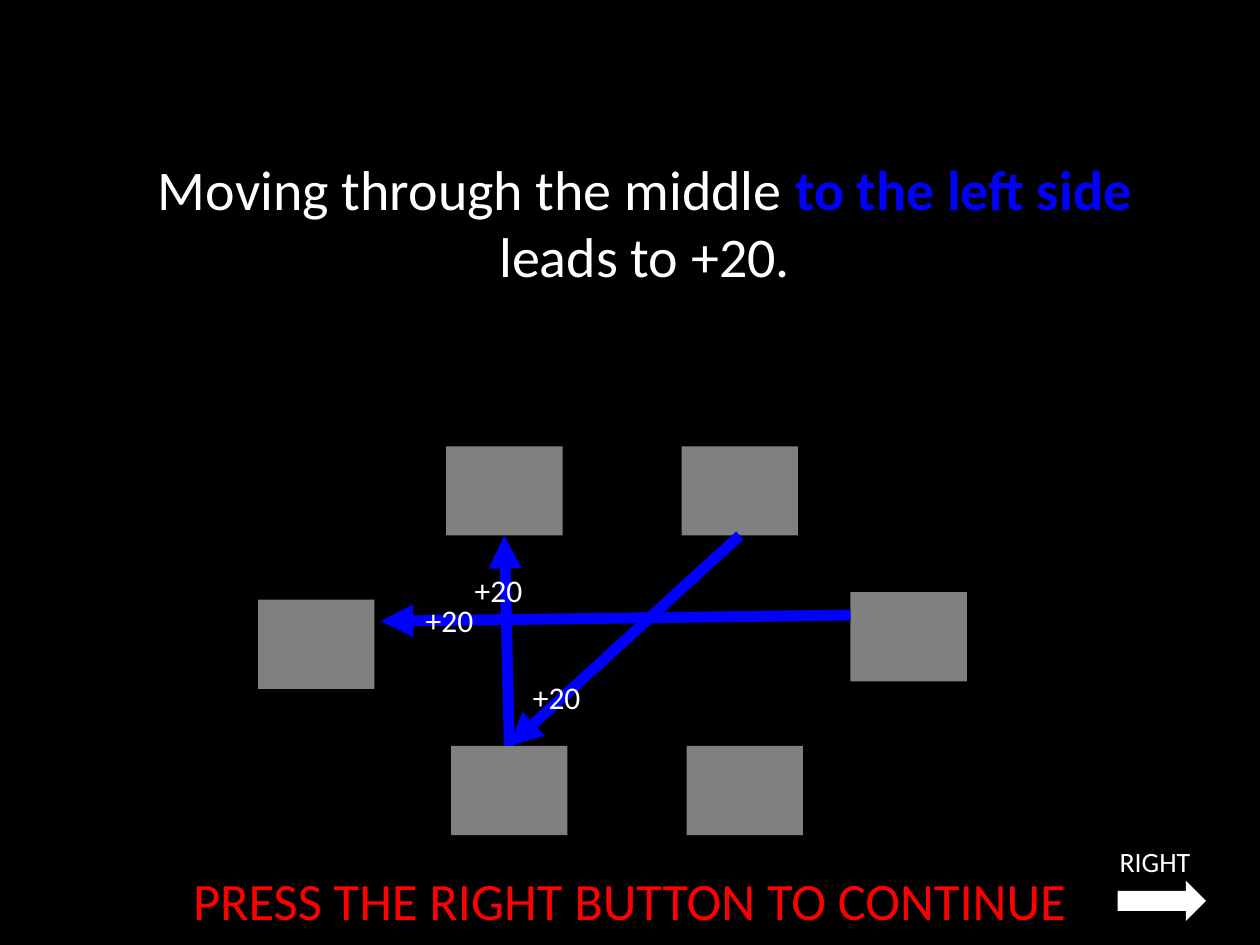
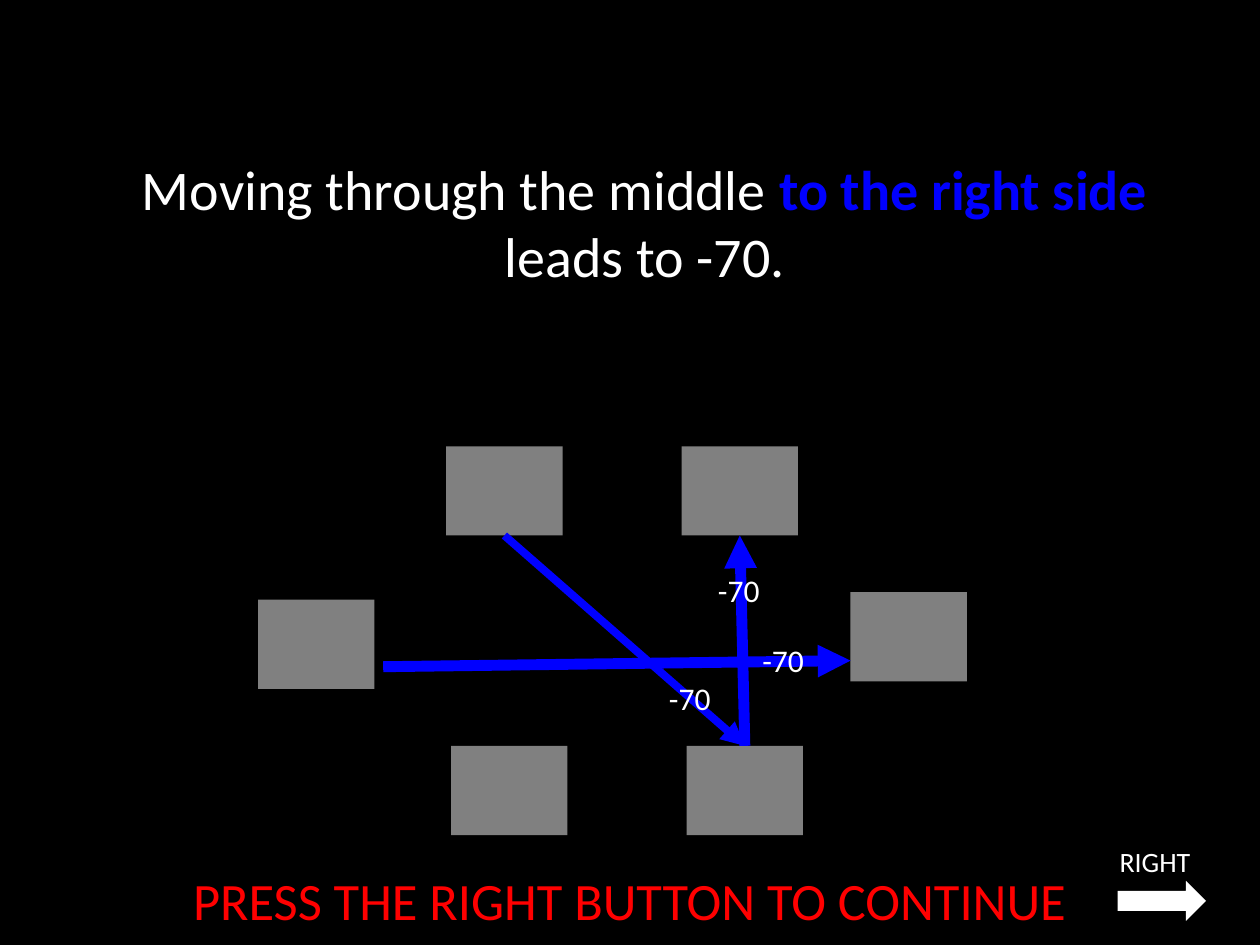
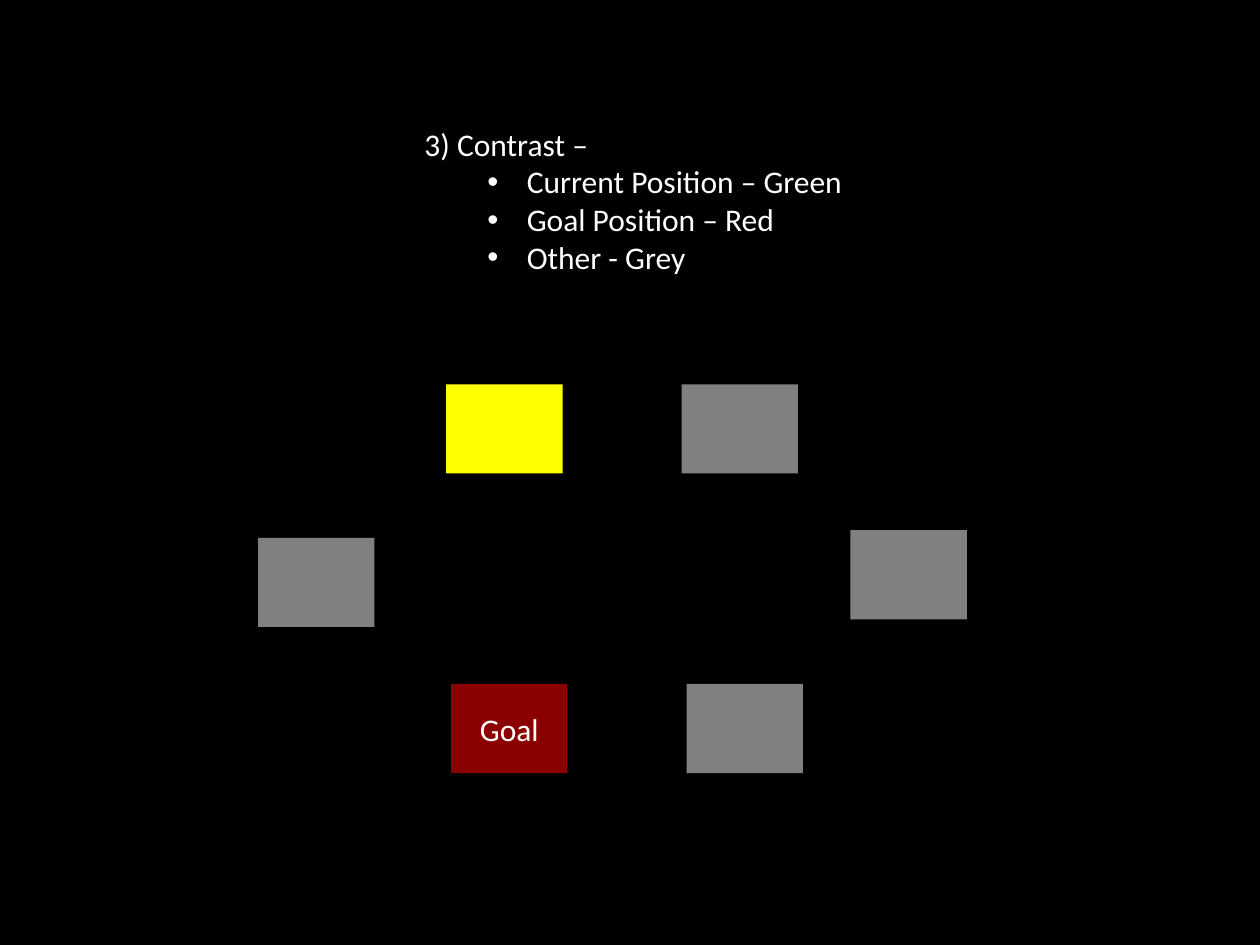
import pptx
import pptx.dml.color
import pptx.enum.dml
import pptx.enum.shapes
import pptx.enum.text
import pptx.oxml
import pptx.oxml.ns
import pptx.util

Pt = pptx.util.Pt
RGBColor = pptx.dml.color.RGBColor
SHAPE = pptx.enum.shapes.MSO_SHAPE
ALIGN = pptx.enum.text.PP_ALIGN
ANCHOR = pptx.enum.text.MSO_ANCHOR

# Shared look
BLACK = RGBColor(0x00, 0x00, 0x00)
WHITE = RGBColor(0xFF, 0xFF, 0xFF)
BLUE = RGBColor(0x00, 0x00, 0xFF)
RED = RGBColor(0xFF, 0x00, 0x00)
GREY = RGBColor(0x80, 0x80, 0x80)
YELLOW = RGBColor(0xFF, 0xFF, 0x00)
DARK_RED = RGBColor(0x8B, 0x00, 0x00)
FONT = "Calibri"
TITLE_ONLY, BLANK = 5, 6
TOP, BOTTOM = 0, 2

# The six positions of the maze: left, top
POSITION_SIZE = (66.5, 51)
POSITIONS = {
    "top left": (255, 255),
    "top right": (389.5, 255),
    "right": (486, 338.4),
    "left": (147.5, 342.7),
    "bottom left": (257.8, 426.2),
    "bottom right": (392.4, 426.2),
}

# Move ends are (position, side) or a free point (x, y)
MOVE_SLIDES = [
    {
        "message": ("Moving through the middle ", "to the left side ", "leads to +20."),
        "points": "+20",
        "moves": [
            (("bottom left", TOP), ("top left", BOTTOM), 6.25),
            (("top right", BOTTOM), ("bottom left", TOP), 6.25),
            ((486, 351.5), (217.5, 355), 6.25),
        ],
        "points_at": [(236.2, 340), (297.4, 384), (264.2, 322.5)],
    },
    {
        "message": ("Moving through the middle ", "to the right side ", "leads to -70."),
        "points": "-70",
        "moves": [
            (("top left", BOTTOM), ("bottom right", TOP), 4.5),
            (("bottom right", TOP), ("top right", BOTTOM), 6.25),
            ((219, 381), (486, 377.5), 6.25),
        ],
        "points_at": [(375.2, 384.5), (428.5, 363), (403.2, 322.5)],
    },
]

CONTRAST = "3) Contrast –"
CONTRAST_RULES = ["Current Position – Green", "Goal Position – Red", "Other - Grey"]
CONTRAST_LIFT = 35.4
CONTRAST_FILLS = {"top left": YELLOW, "bottom left": DARK_RED}


def style(paragraph, size, color=WHITE, align=ALIGN.LEFT):
    paragraph.alignment = align
    for run in paragraph.runs:
        run.font.name = FONT
        run.font.size = Pt(size)
        run.font.color.rgb = color


def add_text(slide, text, box, size, color=WHITE, align=ALIGN.LEFT, anchor=ANCHOR.TOP):
    frame = slide.shapes.add_textbox(*map(Pt, box)).text_frame
    frame.word_wrap = True
    frame.vertical_anchor = anchor
    frame.text = text
    for paragraph in frame.paragraphs:
        style(paragraph, size, color, align)
    return frame


def add_filled(slide, preset, box, color):
    filled = slide.shapes.add_shape(preset, *map(Pt, box))
    filled.shadow.inherit = False
    filled.fill.solid()
    filled.fill.fore_color.rgb = color
    filled.line.fill.background()
    return filled


def add_positions(slide, lift=0, fills={}):
    return {
        name: add_filled(slide, SHAPE.RECTANGLE, (left, top - lift, *POSITION_SIZE),
                         fills.get(name, GREY))
        for name, (left, top) in POSITIONS.items()
    }


def add_move(slide, positions, start, end, width):
    free = [(0, 0) if isinstance(place[0], str) else place for place in (start, end)]
    move = slide.shapes.add_connector(
        pptx.enum.shapes.MSO_CONNECTOR.STRAIGHT, *(Pt(v) for point in free for v in point))
    for place, connect in ((start, move.begin_connect), (end, move.end_connect)):
        if isinstance(place[0], str):
            connect(positions[place[0]], place[1])
    move.line.color.rgb = BLUE
    move.line.width = Pt(width)
    # Arrowhead, and no shadow
    pptx.oxml.ns.qn("a:tailEnd")
    line = move.line._get_or_add_ln()
    line.append(line.makeelement(pptx.oxml.ns.qn("a:tailEnd"), {"type": "triangle"}))
    properties = line.getparent()
    properties.append(properties.makeelement(pptx.oxml.ns.qn("a:effectLst"), {}))


def add_message(slide, parts):
    title = slide.shapes.title
    title.left, title.top, title.width, title.height = map(Pt, (48, 84.5, 641, 104.5))
    frame = title.text_frame
    frame.auto_size = pptx.enum.text.MSO_AUTO_SIZE.NONE
    frame.vertical_anchor = ANCHOR.TOP
    paragraph = frame.paragraphs[0]
    for part in parts:
        paragraph.add_run().text = part
    style(paragraph, 32, align=ALIGN.CENTER)
    direction = paragraph.runs[1].font
    direction.bold = True
    direction.color.rgb = BLUE


def add_continue_prompt(slide):
    add_text(slide, "PRESS THE RIGHT BUTTON TO CONTINUE", (0, 488, 720, 52), 30,
             RED, ALIGN.CENTER, ANCHOR.MIDDLE)
    add_text(slide, "RIGHT", (600, 479, 120, 61), 16, align=ALIGN.CENTER)
    add_filled(slide, SHAPE.RIGHT_ARROW, (638.7, 503.3, 50.5, 23), WHITE)


def add_bullet(paragraph):
    paragraph.level = 1
    properties = paragraph._p.get_or_add_pPr()
    properties.set("marL", str(Pt(58.5)))
    properties.set("indent", str(Pt(-22.5)))
    for tag, attributes in (("a:buFont", {"typeface": "Arial"}), ("a:buChar", {"char": "•"})):
        properties.append(properties.makeelement(pptx.oxml.ns.qn(tag), attributes))


def add_move_slide(deck, content):
    slide = deck.slides.add_slide(deck.slide_layouts[TITLE_ONLY])
    add_message(slide, content["message"])
    add_continue_prompt(slide)
    positions = add_positions(slide)
    for move in content["moves"]:
        add_move(slide, positions, *move)
    for left, top in content["points_at"]:
        add_text(slide, content["points"], (left, top, 52.5, 29), 18)


def add_contrast_slide(deck):
    slide = deck.slides.add_slide(deck.slide_layouts[BLANK])
    positions = add_positions(slide, CONTRAST_LIFT, CONTRAST_FILLS)
    goal = positions["bottom left"].text_frame
    goal.text = "Goal"
    style(goal.paragraphs[0], 18, align=ALIGN.CENTER)
    rules = add_text(slide, "\n".join([CONTRAST, *CONTRAST_RULES]),
                     (235.5, 67.7, 296, 116.5), 18)
    for paragraph in rules.paragraphs[1:]:
        add_bullet(paragraph)


def main():
    deck = pptx.Presentation()
    deck.slide_width, deck.slide_height = Pt(720), Pt(540)
    background = deck.slide_master.background.fill
    background.solid()
    background.fore_color.rgb = BLACK
    for content in MOVE_SLIDES:
        add_move_slide(deck, content)
    add_contrast_slide(deck)
    deck.save("out.pptx")


if __name__ == "__main__":
    main()
